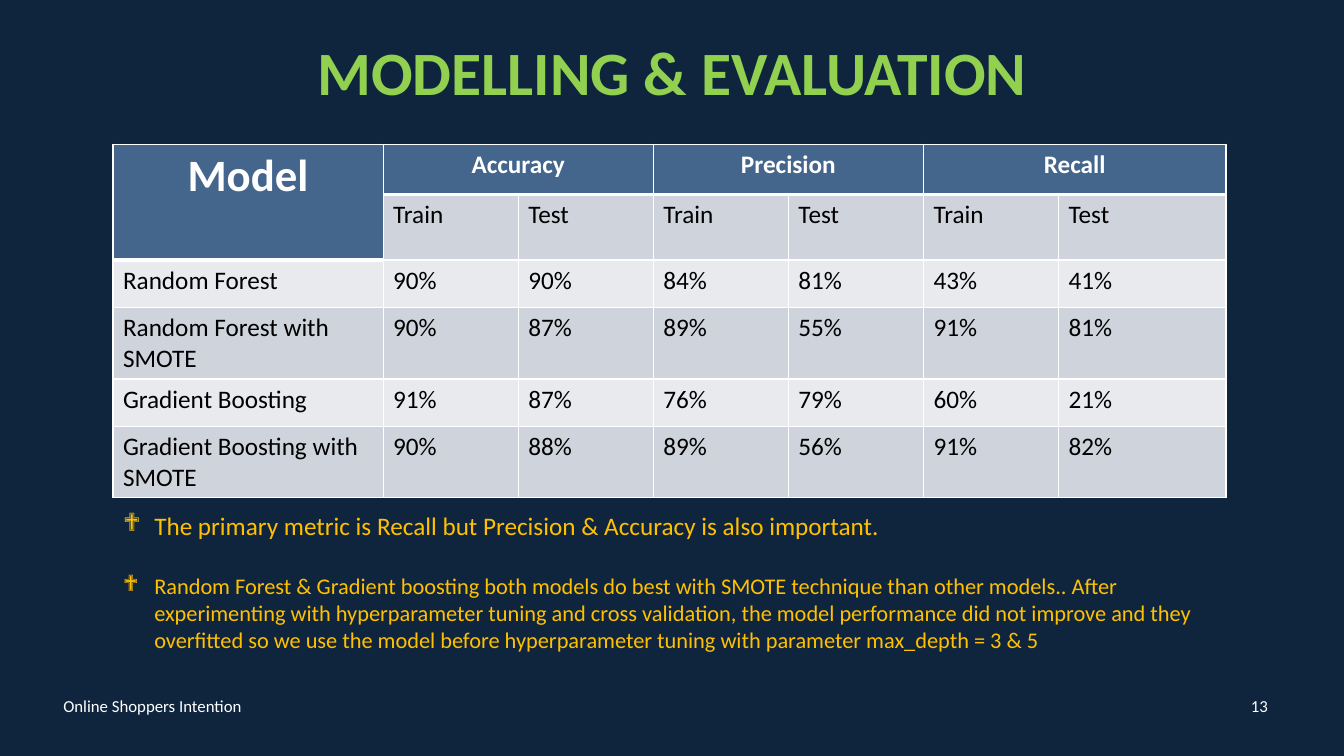
from lxml.etree import SubElement
from pptx import Presentation
from pptx.dml.color import RGBColor
from pptx.enum.text import MSO_ANCHOR as Anchor, MSO_AUTO_SIZE as AutoSize, PP_ALIGN as Align
from pptx.oxml import parse_xml
from pptx.oxml.ns import nsdecls, qn
from pptx.util import Inches, Pt

TITLE = "MODELLING & EVALUATION"
METRICS = ["Accuracy", "Precision", "Recall"]
SPLITS = ["Train", "Test"]
MODELS = [
    ("Random Forest", "90%", "90%", "84%", "81%", "43%", "41%"),
    ("Random Forest with SMOTE", "90%", "87%", "89%", "55%", "91%", "81%"),
    ("Gradient Boosting", "91%", "87%", "76%", "79%", "60%", "21%"),
    ("Gradient Boosting with\nSMOTE", "90%", "88%", "89%", "56%", "91%", "82%"),
]
FINDINGS = [
    ("The primary metric is Recall but Precision & Accuracy is also important.", 18, 5.01, 0.4),
    ("Random Forest & Gradient boosting both models do best with SMOTE technique than other "
     "models.. After experimenting with hyperparameter tuning and cross validation, the model "
     "performance did not improve and they overfitted so we use the model before hyperparameter "
     "tuning with parameter max_depth = 3 & 5", 16, 5.63, 0.91),
]
FOOTERS = [
    ("13", 12.24, 0.5, Align.CENTER),
    ("Online Shoppers Intention", 0.53, 4.5, Align.LEFT),
]
COLORS = {
    "page": "0F253E", "title": "92D050", "finding": "FFC000", "white": "FFFFFF",
    "black": "000000", "header": "44668D", "dark band": "CFD3DB", "light band": "E9EAEE",
}
FONT = "Calibri"
LEFT = 1.12
TABLE_TOP = 1.43
COLUMN = 1.34
COLUMN_WIDTHS = [2 * COLUMN] + [COLUMN] * 5 + [COLUMN + 0.32]
SHORT_ROW, TALL_ROW = 0.47, 0.71
ROW_HEIGHTS = [0.5, 0.65] + [SHORT_ROW, TALL_ROW] * 2
HANG = Inches(0.31)


def color(name):
    return RGBColor.from_string(COLORS[name])


def place(shape, left, top, width, height):
    shape.left, shape.top = Inches(left), Inches(top)
    shape.width, shape.height = Inches(width), Inches(height)


def write(frame, text, size, color_name, align=Align.LEFT, bold=False):
    for index, line in enumerate(text.split("\n")):
        para = frame.paragraphs[0] if index == 0 else frame.add_paragraph()
        para.alignment = align
        span = para.add_run()
        span.text = line
        span.font.name = FONT
        span.font.size = Pt(size)
        span.font.bold = bold
        span.font.color.rgb = color(color_name)


def add_bullet(para):
    properties = para._p.get_or_add_pPr()
    properties.set("marL", str(HANG))
    properties.set("indent", str(-HANG))
    SubElement(properties, qn("a:buFont")).set("typeface", "Wingdings")
    SubElement(properties, qn("a:buChar")).set("char", "❖")


def header_depth(column):
    return 2 if column == 0 else 1


def add_borders(cell, row, column):
    depth = header_depth(column)
    widths = {"L": 1, "R": 1, "T": 3 if row == depth else 1, "B": 3 if row < depth else 1}
    properties = cell._tc.get_or_add_tcPr()
    for index, (side, width) in enumerate(widths.items()):
        properties.insert(index, parse_xml(
            f'<a:ln{side} {nsdecls("a")} w="{Pt(width)}"><a:solidFill>'
            f'<a:srgbClr val="{COLORS["white"]}"/></a:solidFill></a:ln{side}>'))


def add_results(page):
    header = ["Model"] + [text for metric in METRICS for text in (metric, "")]
    rows = [header, [""] + SPLITS * len(METRICS), *MODELS]
    table = page.shapes.add_table(
        len(rows), len(header), Inches(LEFT), Inches(TABLE_TOP),
        Inches(sum(COLUMN_WIDTHS)), Inches(sum(ROW_HEIGHTS))).table
    for column, width in zip(table.columns, COLUMN_WIDTHS):
        column.width = Inches(width)
    for row, height in zip(table.rows, ROW_HEIGHTS):
        row.height = Inches(height)
    for r, texts in enumerate(rows):
        for c, text in enumerate(texts):
            cell = table.cell(r, c)
            is_header = r < header_depth(c)
            band = "light band" if r % 2 == 0 else "dark band"
            cell.fill.solid()
            cell.fill.fore_color.rgb = color("header" if is_header else band)
            add_borders(cell, r, c)
            if text and is_header:
                write(cell.text_frame, text, 32 if c == 0 else 18, "white", Align.CENTER, True)
            elif text:
                write(cell.text_frame, text, 18, "black")
    table.cell(0, 0).merge(table.cell(1, 0))
    for c in range(1, len(header), len(SPLITS)):
        table.cell(0, c).merge(table.cell(0, c + 1))


def main():
    deck = Presentation()
    deck.slide_width, deck.slide_height = Inches(13.33), Inches(7.5)
    page = deck.slides.add_slide(deck.slide_layouts[3])
    page.background.fill.solid()
    page.background.fill.fore_color.rgb = color("page")

    title = page.shapes.title
    place(title, 0.92, 0.02, 11.5, 1.45)
    title.text_frame.vertical_anchor = Anchor.MIDDLE
    write(title.text_frame, TITLE, 44, "title", Align.CENTER, True)
    title.text_frame.paragraphs[0].line_spacing = 0.9

    for text, left, width, align in FOOTERS:
        box = page.shapes.add_textbox(0, 0, 0, 0)
        place(box, left, 6.8, width, 0.4)
        box.text_frame.word_wrap = True
        box.text_frame.vertical_anchor = Anchor.MIDDLE
        write(box.text_frame, text, 12, "white", align)

    add_results(page)

    for index, (text, size, top, height) in enumerate(FINDINGS, start=1):
        body = page.placeholders[index]
        place(body, LEFT, top, 11.09, height)
        body.text_frame.auto_size = AutoSize.NONE
        write(body.text_frame, text, size, "finding")
        para = body.text_frame.paragraphs[0]
        para.space_before = Pt(0)
        para.line_spacing = 1.0
        add_bullet(para)

    deck.save("out.pptx")


if __name__ == "__main__":
    main()
